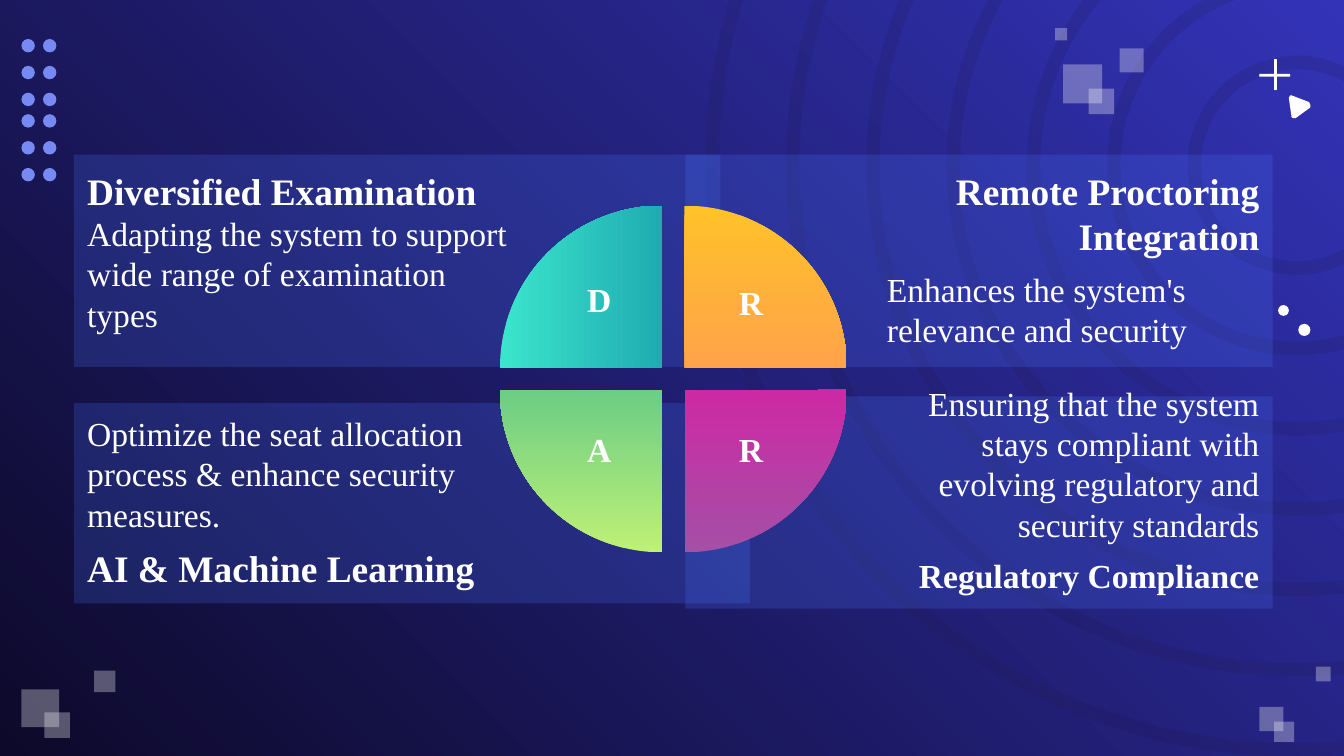
import itertools
from dataclasses import dataclass

import pptx
import pptx.dml.color
import pptx.enum.shapes
import pptx.enum.text
import pptx.oxml.ns
import pptx.util
from lxml import etree

Inches = pptx.util.Inches
SHAPE = pptx.enum.shapes.MSO_SHAPE
ALIGN = pptx.enum.text.PP_ALIGN
ANCHOR = pptx.enum.text.MSO_ANCHOR


@dataclass(frozen=True)
class Theme:
    font: str = "Times New Roman"
    head: int = 20
    body: int = 18
    white: str = "FFFFFF"
    ring: str = "201A4A"
    dot: str = "7789F2"
    panel: str = "4B77FF"
    back: tuple = ("0D092A", "3333B8")


@dataclass(frozen=True)
class Para:
    text: str
    size: int
    bold: bool = False
    right: bool = False
    before: int = 0
    after: int = 0


@dataclass(frozen=True)
class Panel:
    box: tuple
    left: bool
    low: bool
    paras: tuple


@dataclass(frozen=True)
class Wedge:
    x: float
    y: float
    turn: int
    stops: tuple
    angle: int = 0


@dataclass(frozen=True)
class Label:
    text: str
    box: tuple


T = Theme()
PANELS = (
    Panel((0.55, 1.15, 4.81, 1.58), True, False, (
        Para("Diversified Examination", T.head, True),
        Para("Adapting the system to support wide range of examination types", T.body))),
    Panel((5.1, 1.15, 4.37, 1.58), False, False, (
        Para("Remote Proctoring Integration", T.head, True, True),
        Para("Enhances the system's relevance and security", T.body, before=6, after=6))),
    Panel((0.55, 3, 5.03, 1.49), True, True, (
        Para("Optimize the seat allocation process & enhance security measures.",
             T.body, before=6),
        Para("AI & Machine Learning", T.head, True, before=6, after=6))),
    Panel((5.1, 2.95, 4.37, 1.58), False, True, (
        Para("Ensuring that the system stays compliant with evolving regulatory "
             "and security standards", T.body, right=True),
        Para("Regulatory Compliance", T.body, True, True, 6, 6))),
)
WEDGES = (
    Wedge(3.72, 1.53, 0, ("3BE5CC", "027196")),
    Wedge(3.89, 1.53, 90, ("FFC229", "FF826C")),
    Wedge(3.89, 1.7, 180, ("A54FA6", "F702A2"), 270),
    Wedge(3.72, 1.7, 270, ("BEF176", "17A892")),
)
LABELS = (
    Label("D", (4.27, 2.03, 0.29, 0.44)),
    Label("R", (5.4, 3.14, 0.35, 0.42)),
    Label("A", (4.27, 3.14, 0.35, 0.42)),
    Label("R", (5.4, 2.05, 0.35, 0.48)),
)
# left, top, side
SQUARES = (
    (0.7, 4.99, 0.16), (0.16, 5.13, 0.28), (0.33, 5.3, 0.19),
    (9.37, 5.26, 0.18), (9.79, 4.96, 0.11), (9.48, 5.37, 0.15),
    (7.91, 0.48, 0.29), (8.1, 0.66, 0.19), (8.33, 0.36, 0.18), (7.85, 0.21, 0.09),
)
PLUS = ((9.48, 0.44, 0.02, 0.23), (9.37, 0.55, 0.23, 0.02))
SPOTS = ((9.51, 2.27, 0.08), (9.66, 2.41, 0.09))
# hundredths of an inch
ARROW = ((959, 73), (960, 71), (961, 71), (974, 76), (975, 78), (975, 80),
         (964, 88), (962, 88), (961, 87))


def rgb(code: str):
    return pptx.dml.color.RGBColor.from_string(code)


def paint(shape, color: str, alpha: int = 100) -> None:
    """Flat fill with no line or shadow; alpha is a percentage."""
    shape.shadow.inherit = False
    shape.line.fill.background()
    shape.fill.solid()
    shape.fill.fore_color.rgb = rgb(color)
    if alpha < 100:
        tag = pptx.oxml.ns.qn("a:srgbClr")
        node = next(shape.element.spPr.iter(tag))
        etree.SubElement(node, pptx.oxml.ns.qn("a:alpha"), val=str(alpha * 1000))


def blend(fill, stops: tuple, angle: int) -> None:
    """Two-stop gradient, angle counted counter-clockwise."""
    fill.gradient()
    fill.gradient_angle = angle
    for stop, color in zip(fill.gradient_stops, stops):
        stop.color.rgb = rgb(color)


def add(slide, kind, box: tuple, color: str, alpha: int = 100):
    shape = slide.shapes.add_shape(kind, *map(Inches, box))
    paint(shape, color, alpha)
    return shape


def style(para, size: int, bold: bool, align) -> None:
    para.alignment = align
    for run in para.runs:
        font = run.font
        font.name, font.size, font.bold = T.font, pptx.util.Pt(size), bold
        font.color.rgb = rgb(T.white)


def decor(slide) -> None:
    for i in range(7):
        size = 8.8 - 1.195 * i
        box = (9.65 - size / 2, 1.23 - size / 2, size, size)
        ring = add(slide, SHAPE.DONUT, box, T.ring, 17)
        ring.adjustments[0] = 0.1 / size
    for x, y, side in SQUARES:
        add(slide, SHAPE.RECTANGLE, (x, y, side, side), T.white, 31)
    for box in PLUS:
        add(slide, SHAPE.ROUNDED_RECTANGLE, box, T.white)
    pen = slide.shapes.build_freeform(*ARROW[0], scale=Inches(0.01))
    pen.add_line_segments(ARROW[1:], close=True)
    paint(pen.convert_to_shape(), T.white)
    for x, y, size in SPOTS:
        add(slide, SHAPE.OVAL, (x, y, size, size), T.white)
    for x, top, row in itertools.product((0.16, 0.32), (0.29, 0.85), range(3)):
        add(slide, SHAPE.OVAL, (x, top + 0.2 * row, 0.1, 0.1), T.dot)


def draw_panel(slide, panel: Panel) -> None:
    frame = add(slide, SHAPE.RECTANGLE, panel.box, T.panel, 21).text_frame
    frame.word_wrap = True
    frame.vertical_anchor = ANCHOR.BOTTOM if panel.low else ANCHOR.TOP
    frame.margin_top = frame.margin_bottom = Inches(0.1)
    frame.margin_left = Inches(0.1 if panel.left else 1.5)
    frame.margin_right = Inches(1.5 if panel.left else 0.1)
    frame.text = "\n".join(item.text for item in panel.paras)
    for para, item in zip(frame.paragraphs, panel.paras):
        style(para, item.size, item.bold, ALIGN.RIGHT if item.right else ALIGN.LEFT)
        para.space_before = pptx.util.Pt(item.before)
        para.space_after = pptx.util.Pt(item.after)


def draw_wedge(slide, wedge: Wedge) -> None:
    pie = add(slide, SHAPE.PIE, (wedge.x, wedge.y, 2.41, 2.41), wedge.stops[0])
    pie.adjustments[0], pie.adjustments[1] = 107.89, 162
    pie.rotation = wedge.turn
    blend(pie.fill, wedge.stops, wedge.angle)


def draw_label(slide, label: Label) -> None:
    frame = slide.shapes.add_textbox(*map(Inches, label.box)).text_frame
    frame.word_wrap = True
    frame.text = label.text
    style(frame.paragraphs[0], T.body, True, ALIGN.CENTER)


def main() -> None:
    deck = pptx.Presentation()
    deck.slide_width = Inches(10)
    deck.slide_height = deck.slide_width * 9 // 16
    slide = deck.slides.add_slide(deck.slide_layouts[6])
    blend(slide.background.fill, T.back, 45)
    decor(slide)
    for panel in PANELS:
        draw_panel(slide, panel)
    for wedge in WEDGES:
        draw_wedge(slide, wedge)
    for label in LABELS:
        draw_label(slide, label)
    deck.save("out.pptx")


if __name__ == "__main__":
    main()
